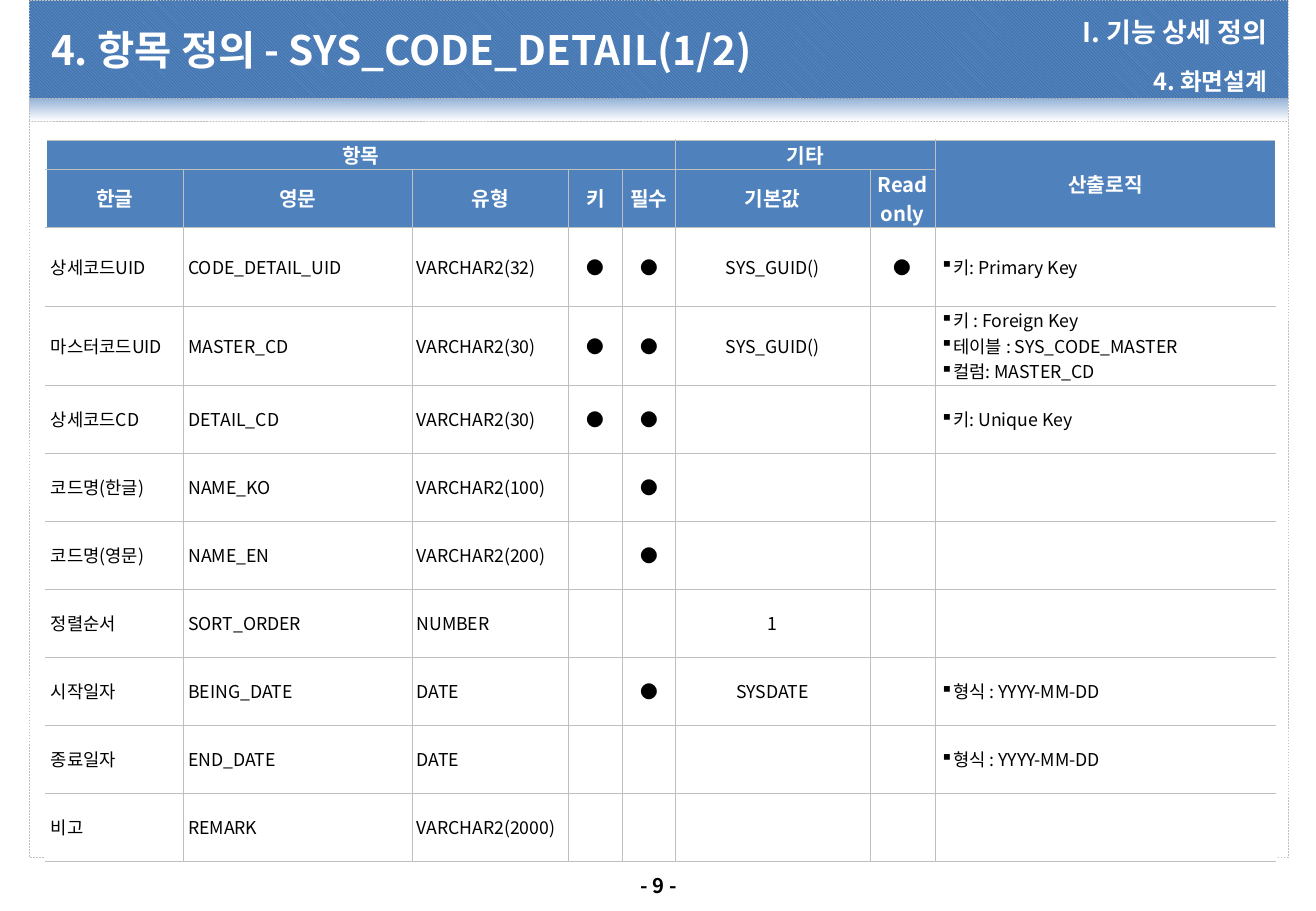
import pptx
import pptx.util
import pptx.dml.color
import pptx.enum.dml
import pptx.enum.shapes
import pptx.enum.text
import pptx.oxml
import pptx.oxml.ns
from lxml import etree

Inches = pptx.util.Inches
Pt = pptx.util.Pt
ALIGN = pptx.enum.text.PP_ALIGN
MIDDLE = pptx.enum.text.MSO_ANCHOR.MIDDLE
FONT = "Noto Sans CJK KR"
BLUE, GRAY, WHITE, BLACK = "4F81BD", "BFBFBF", "FFFFFF", "000000"
DOT = "●"

TITLE = "4. 항목 정의 - SYS_CODE_DETAIL(1/2)"
PART = "I. 기능 상세 정의"
TOPIC = "4. 화면설계"
PAGE = "- 9 -"
HEADS = [
    ["항목", "", "", "", "", "기타", "", "산출로직"],
    ["한글", "영문", "유형", "키", "필수", "기본값", "Read only", ""],
]
ITEMS = [
    ["상세코드UID", "CODE_DETAIL_UID", "VARCHAR2(32)", DOT, DOT, "SYS_GUID()", DOT, "키: Primary Key"],
    ["마스터코드UID", "MASTER_CD", "VARCHAR2(30)", DOT, DOT, "SYS_GUID()", "",
     "키 : Foreign Key\n테이블 : SYS_CODE_MASTER\n컬럼: MASTER_CD"],
    ["상세코드CD", "DETAIL_CD", "VARCHAR2(30)", DOT, DOT, "", "", "키: Unique Key"],
    ["코드명(한글)", "NAME_KO", "VARCHAR2(100)", "", DOT, "", "", ""],
    ["코드명(영문)", "NAME_EN", "VARCHAR2(200)", "", DOT, "", "", ""],
    ["정렬순서", "SORT_ORDER", "NUMBER", "", "", "1", "", ""],
    ["시작일자", "BEING_DATE", "DATE", "", DOT, "SYSDATE", "", "형식 : YYYY-MM-DD"],
    ["종료일자", "END_DATE", "DATE", "", "", "", "", "형식 : YYYY-MM-DD"],
    ["비고", "REMARK", "VARCHAR2(2000)", "", "", "", "", ""],
]
WIDTHS = [1.13, 1.88, 1.29, 0.44, 0.44, 1.6, 0.54, 2.8]
HEIGHTS = [0.24, 0.48, 0.65, 0.65] + [0.56] * 7
SPANS = [(0, 0, 0, 4), (0, 5, 0, 6), (0, 7, 1, 7)]
LOGIC = 7


def color(code):
    return pptx.dml.color.RGBColor.from_string(code)


def write(frame, text, size=10.5, ink=BLACK, bold=False, align=ALIGN.LEFT,
          bullet=False, lead=None, gap=0):
    for i, line in enumerate(text.split("\n")):
        para = frame.add_paragraph() if i else frame.paragraphs[0]
        para.alignment = align
        para.space_before = para.space_after = Pt(gap)
        if lead:
            para.line_spacing = lead
        if bullet:
            props = para._p.get_or_add_pPr()
            props.set("marL", str(Inches(0.1)))
            props.set("indent", str(Inches(-0.1)))
            mark = etree.SubElement(props, pptx.oxml.ns.qn("a:buChar"))
            mark.set("char", "▪")
        run = para.add_run()
        run.text = line
        font = run.font
        font.name, font.size, font.bold = FONT, Pt(size), bold
        font.color.rgb = color(ink)
        east = etree.SubElement(font._element, pptx.oxml.ns.qn("a:ea"))
        east.set("typeface", FONT)


def panel(top, height):
    shape = slide.shapes.add_shape(pptx.enum.shapes.MSO_SHAPE.RECTANGLE,
                                   Inches(0.24), Inches(top), Inches(10.36), Inches(height))
    shape.shadow.inherit = False
    shape.line.color.rgb = color(GRAY)
    shape.line.width = Pt(0.25)
    shape.line.dash_style = pptx.enum.dml.MSO_LINE.DASH
    return shape


def label(text, left, top, width, height, wrap=True, **style):
    box = slide.shapes.add_textbox(Inches(left), Inches(top), Inches(width), Inches(height))
    frame = box.text_frame
    frame.word_wrap = wrap
    frame.vertical_anchor = MIDDLE
    frame.margin_left = frame.margin_right = Inches(0.04)
    frame.margin_top = frame.margin_bottom = Inches(0.04)
    write(frame, text, bold=True, **style)


def border(cell, sides):
    props = cell._tc.get_or_add_tcPr()
    for i, side in enumerate(sides):
        props.insert(i, pptx.oxml.parse_xml(
            f'<a:ln{side} {pptx.oxml.ns.nsdecls("a")} w="{Pt(0.25)}"><a:solidFill>'
            f'<a:srgbClr val="{GRAY}"/></a:solidFill></a:ln{side}>'))


deck = pptx.Presentation()
deck.slide_width, deck.slide_height = Inches(10.83), Inches(7.5)
slide = deck.slides.add_slide(deck.slide_layouts[6])

fade = panel(0.81, 0.19).fill
fade.gradient()
fade.gradient_angle = 270
for stop, (place, code) in zip(fade.gradient_stops, [(0, "95B3D7"), (1, WHITE)]):
    stop.position = place
    stop.color.rgb = color(code)

body = panel(1, 6.06).fill
body.solid()
body.fore_color.rgb = color(WHITE)

banner = panel(0, 0.81)
banner.rotation = 180
banner.fill.patterned()
banner.fill.pattern = pptx.enum.dml.MSO_PATTERN.LIGHT_DOWNWARD_DIAGONAL
banner.fill.fore_color.rgb = color("376092")
banner.fill.back_color.rgb = color(BLUE)

label(PAGE, 5.08, 7.14, 0.68, 0.3, wrap=False, size=12, align=ALIGN.CENTER)
label(PART, 7.07, 0.08, 3.4, 0.37, size=16, ink=WHITE, align=ALIGN.RIGHT)
label(TITLE, 0.38, 0.08, 6.69, 0.66, size=24, ink=WHITE)
label(TOPIC, 7.07, 0.47, 3.4, 0.27, size=14, ink=WHITE, align=ALIGN.RIGHT, lead=1.5, gap=2.8)

rows = HEADS + ITEMS
grid = slide.shapes.add_table(len(rows), len(WIDTHS), Inches(0.38), Inches(1.15),
                              Inches(sum(WIDTHS)), Inches(sum(HEIGHTS))).table
for col, width in zip(grid.columns, WIDTHS):
    col.width = Inches(width)
for row, height in zip(grid.rows, HEIGHTS):
    row.height = Inches(height)
for r, row in enumerate(rows):
    head = r < len(HEADS)
    for c, text in enumerate(row):
        cell = grid.cell(r, c)
        cell.vertical_anchor = MIDDLE
        cell.margin_left = cell.margin_right = Inches(0.04)
        cell.margin_top = cell.margin_bottom = 0
        cell.fill.solid()
        cell.fill.fore_color.rgb = color(BLUE if head else WHITE)
        border(cell, "L" * (c > 0) + "R" * (c < LOGIC) + "TB")
        if text and head:
            write(cell.text_frame, text, size=12, ink=WHITE, bold=True, align=ALIGN.CENTER)
        elif text:
            write(cell.text_frame, text, bullet=c == LOGIC,
                  align=ALIGN.CENTER if 3 <= c < LOGIC else ALIGN.LEFT)
for top, left, bottom, right in SPANS:
    grid.cell(top, left).merge(grid.cell(bottom, right))

deck.save("out.pptx")
